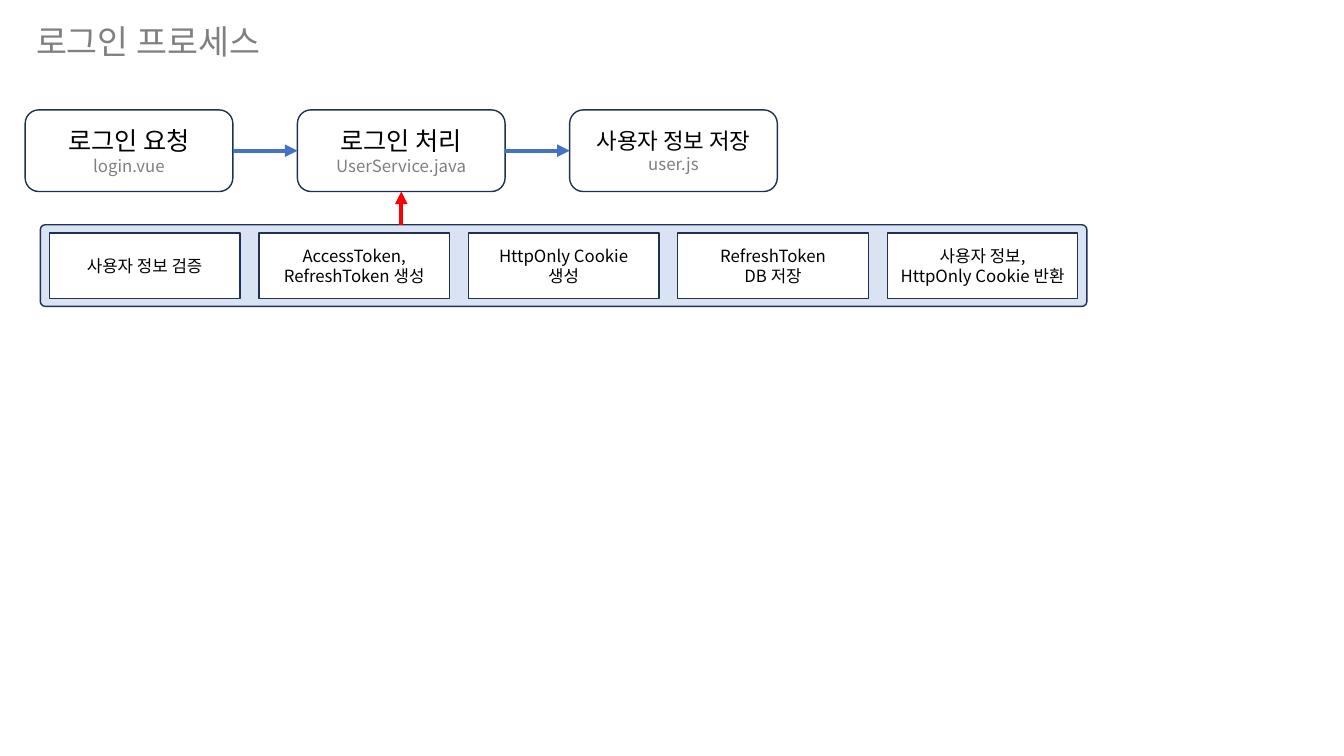
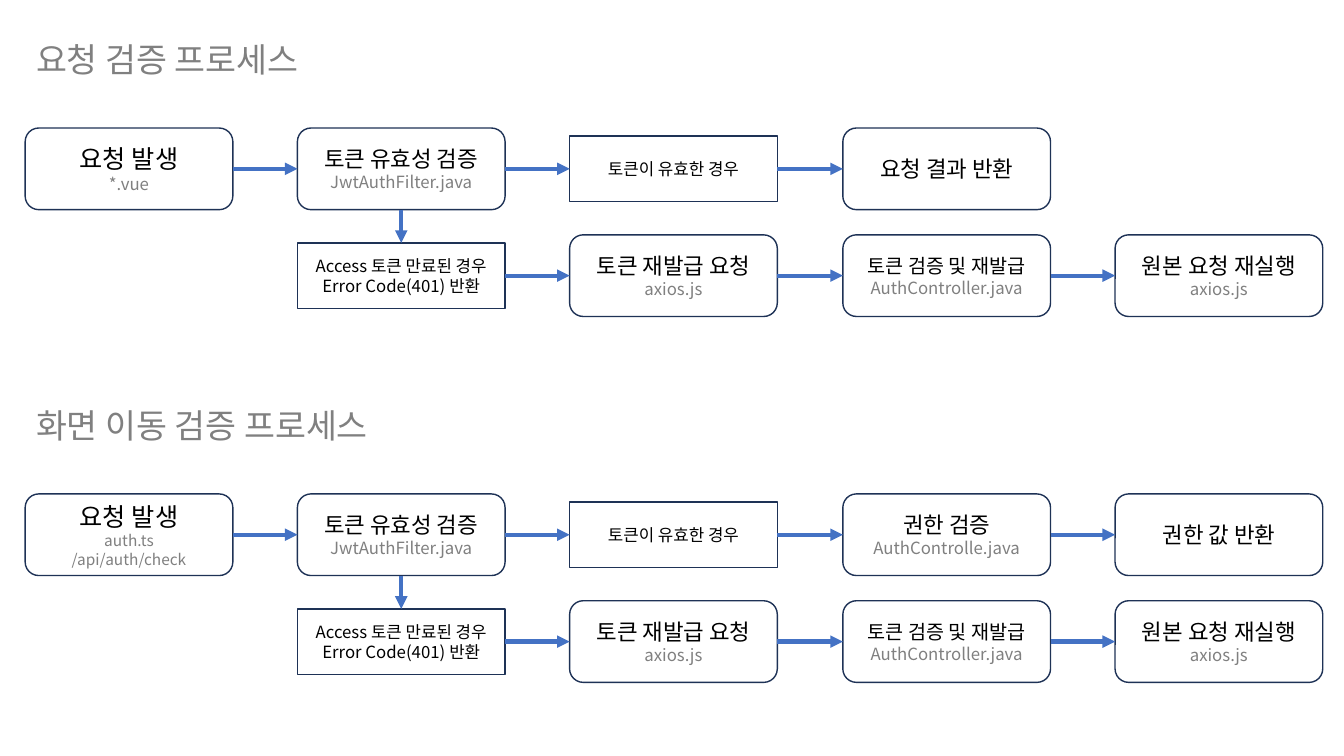
from itertools import pairwise

from lxml import etree
from pptx import Presentation
from pptx import util as u
from pptx.dml.color import RGBColor
from pptx.enum import shapes, text
from pptx.oxml.ns import qn

PX = 9144
SLIDE_SIZE = (1333, 750)
FONT = "Noto Sans CJK KR"
BLACK, GRAY, WHITE = "000000", "808080", "FFFFFF"
NAVY, BLUE, RED, PALE_BLUE = "1E3256", "4472C4", "FF0000", "DAE3F3"

COLUMNS = (25, 295, 565, 836, 1106)
NODE_WIDTH, PROCESS_HEIGHT, CONDITION_HEIGHT = 206, 81, 65
TITLE_LEFT, TITLE_WIDTH, TITLE_HEIGHT = 26, 466, 46
TITLE_TO_ROW, ROW_PITCH = 93, 106
PANEL = (40, 223, 1038, 81)
PANEL_INSET, STEP_WIDTH = 9, 189

ROUNDED = shapes.MSO_SHAPE.ROUNDED_RECTANGLE
RECTANGLE = shapes.MSO_SHAPE.RECTANGLE
TOP, LEFT, BOTTOM, RIGHT = range(4)


def process(heading, size, *notes, note_size=12):
    return ROUNDED, [(heading, size, BLACK)] + [(note, note_size, GRAY) for note in notes]


def condition(*lines):
    return RECTANGLE, [(line, 12, BLACK) for line in lines]


LOGIN = ("로그인 프로세스", 16, [
    process("로그인 요청", 18, "login.vue"),
    process("로그인 처리", 18, "UserService.java"),
    process("사용자 정보 저장", 16, "user.js"),
], [])
LOGIN_STEPS = [
    condition("사용자 정보 검증"),
    condition("AccessToken, RefreshToken 생성"),
    condition("HttpOnly Cookie", "생성"),
    condition("RefreshToken", "DB 저장"),
    condition("사용자 정보,", "HttpOnly Cookie 반환"),
]
TOKEN_CHECK = [
    process("토큰 유효성 검증", 16, "JwtAuthFilter.java"),
    condition("토큰이 유효한 경우"),
]
REISSUE = [
    condition("Access 토큰 만료된 경우", "Error Code(401) 반환"),
    process("토큰 재발급 요청", 16, "axios.js"),
    process("토큰 검증 및 재발급", 14, "AuthController.java"),
    process("원본 요청 재실행", 16, "axios.js"),
]
REQUEST = ("요청 검증 프로세스", 34, [
    process("요청 발생", 18, "*.vue"),
    *TOKEN_CHECK,
    process("요청 결과 반환", 16),
], REISSUE)
NAVIGATION = ("화면 이동 검증 프로세스", 397, [
    process("요청 발생", 18, "auth.ts", "/api/auth/check", note_size=11),
    *TOKEN_CHECK,
    process("권한 검증", 16, "AuthControlle.java"),
    process("권한 값 반환", 16),
], REISSUE)


def px(*lengths):
    return [u.Emu(round(length * PX)) for length in lengths]


def color(value):
    return RGBColor.from_string(value)


def write(shape, lines, alignment):
    frame = shape.text_frame
    frame.word_wrap = True
    frame.text = "\n".join(line for line, _, _ in lines)
    for paragraph, (_, size, ink) in zip(frame.paragraphs, lines):
        paragraph.alignment = alignment
        font = paragraph.runs[0].font
        font.size = u.Pt(size)
        font.name = FONT
        font.color.rgb = color(ink)
        properties = paragraph.runs[0]._r.get_or_add_rPr()
        etree.SubElement(properties, qn("a:ea"), typeface=FONT)


def add_box(slide, outline, box, fill=None):
    shape = slide.shapes.add_shape(outline, *px(*box))
    shape.shadow.inherit = False
    if fill:
        shape.fill.solid()
        shape.fill.fore_color.rgb = color(fill)
    else:
        shape.fill.background()
    shape.line.color.rgb = color(NAVY)
    shape.line.width = u.Pt(1)
    return shape


def add_node(slide, node, box):
    outline, lines = node
    shape = add_box(slide, outline, box, WHITE if outline == RECTANGLE else None)
    shape.text_frame.vertical_anchor = text.MSO_ANCHOR.MIDDLE
    write(shape, lines, text.PP_ALIGN.CENTER)
    return shape


def add_arrow(slide, start, end, ink=BLUE):
    arrow = slide.shapes.add_connector(shapes.MSO_CONNECTOR.STRAIGHT, *start, *end)
    arrow.line.color.rgb = color(ink)
    arrow.line.width = u.Pt(3)
    etree.SubElement(arrow.line._get_or_add_ln(), qn("a:tailEnd"), type="triangle")
    etree.SubElement(arrow._element.spPr, qn("a:effectLst"))
    return arrow


def join(slide, source, source_side, target, target_side):
    arrow = add_arrow(slide, (0, 0), (0, 0))
    arrow.begin_connect(source, source_side)
    arrow.end_connect(target, target_side)


def add_row(slide, nodes, top, first_column):
    row = []
    for left, node in zip(COLUMNS[first_column:], nodes):
        height = CONDITION_HEIGHT if node[0] == RECTANGLE else PROCESS_HEIGHT
        box = (left, top + (PROCESS_HEIGHT - height) / 2, NODE_WIDTH, height)
        row.append(add_node(slide, node, box))
    for source, target in pairwise(row):
        join(slide, source, RIGHT, target, LEFT)
    return row


def add_flow(slide, flow):
    title, top, main_nodes, branch_nodes = flow
    title_box = slide.shapes.add_textbox(*px(TITLE_LEFT, top, TITLE_WIDTH, TITLE_HEIGHT))
    write(title_box, [(title, 24, GRAY)], text.PP_ALIGN.LEFT)
    main_row = add_row(slide, main_nodes, top + TITLE_TO_ROW, 0)
    if branch_nodes:
        branch_row = add_row(slide, branch_nodes, top + TITLE_TO_ROW + ROW_PITCH, 1)
        join(slide, main_row[1], BOTTOM, branch_row[0], TOP)
    return main_row


def add_login_steps(slide, handler):
    left, top, width, height = PANEL
    panel = add_box(slide, ROUNDED, PANEL, PALE_BLUE)
    panel.adjustments[0] = 0.06
    pitch = (width - 2 * PANEL_INSET - STEP_WIDTH) / (len(LOGIN_STEPS) - 1)
    step_top = top + (height - CONDITION_HEIGHT) / 2
    for index, step in enumerate(LOGIN_STEPS):
        step_left = left + PANEL_INSET + index * pitch
        add_node(slide, step, (step_left, step_top, STEP_WIDTH, CONDITION_HEIGHT))
    center = handler.left + handler.width // 2
    start, end = (center, panel.top), (center, handler.top + handler.height)
    add_arrow(slide, start, end, RED).end_connect(handler, BOTTOM)


def main():
    presentation = Presentation()
    presentation.slide_width, presentation.slide_height = px(*SLIDE_SIZE)
    blank = presentation.slide_layouts[6]

    login_slide = presentation.slides.add_slide(blank)
    login_row = add_flow(login_slide, LOGIN)
    add_login_steps(login_slide, login_row[1])

    check_slide = presentation.slides.add_slide(blank)
    for flow in (REQUEST, NAVIGATION):
        add_flow(check_slide, flow)

    presentation.save("out.pptx")


if __name__ == "__main__":
    main()
